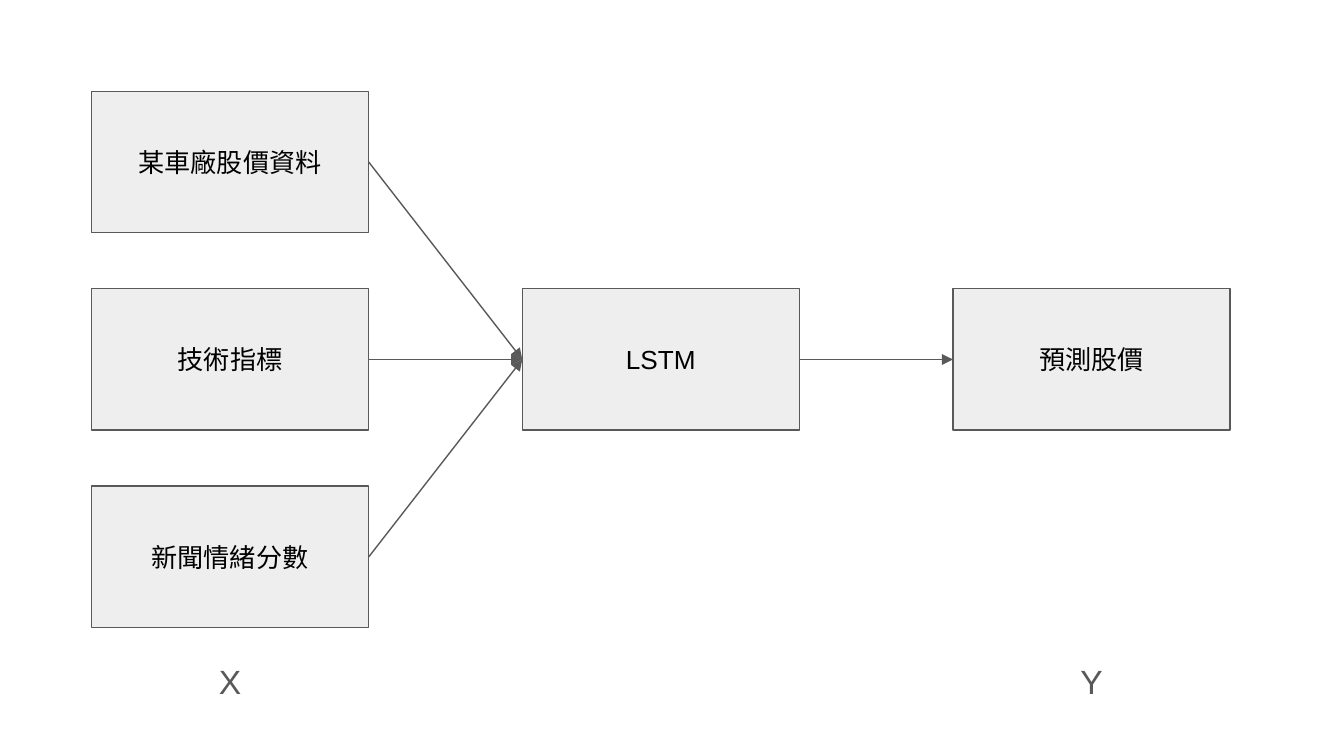
from pptx import Presentation
from pptx.dml.color import RGBColor
from pptx.enum.shapes import MSO_CONNECTOR, MSO_SHAPE
from pptx.enum.text import MSO_ANCHOR, PP_ALIGN
from pptx.oxml.ns import qn
from pptx.util import Cm, Pt
from lxml.etree import SubElement


def rgb(value):
    return RGBColor.from_string(value)


def write(sp, text, size, color, anchor):
    tf = sp.text_frame
    frame = {"word_wrap": True, "vertical_anchor": anchor}
    for side in ("left", "top", "right", "bottom"):
        frame[f"margin_{side}"] = Cm(0.25)
    for name, value in frame.items():
        setattr(tf, name, value)
    p = tf.paragraphs[0]
    p.alignment = PP_ALIGN.CENTER
    r = p.add_run()
    r.text = text
    for name, value in {"name": "Arial", "size": Pt(size)}.items():
        setattr(r.font, name, value)
    r.font.color.rgb = rgb(color)


prs = Presentation()
prs.slide_width, prs.slide_height = Cm(25.4), Cm(14.29)
s = prs.slides.add_slide(prs.slide_layouts[6])

GRAY = "595959"
START, BOX_W, BOX_H = 1.73, 5.24, 2.67
COL_STEP, ROW_STEP = 8.14, 3.73
LABEL_W = 2.24

boxes = {}
for text, col, row in [
    ("某車廠股價資料", 0, 0),
    ("技術指標", 0, 1),
    ("新聞情緒分數", 0, 2),
    ("LSTM", 1, 1),
    ("預測股價", 2, 1),
]:
    x, y = START + col * COL_STEP, START + row * ROW_STEP
    sp = s.shapes.add_shape(MSO_SHAPE.RECTANGLE, Cm(x), Cm(y), Cm(BOX_W), Cm(BOX_H))
    sp.shadow.inherit = False
    sp.fill.solid()
    sp.fill.fore_color.rgb = rgb("EEEEEE")
    sp.line.color.rgb = rgb(GRAY)
    sp.line.width = Pt(0.75)
    write(sp, text, 14, "000000", MSO_ANCHOR.MIDDLE)
    boxes[col, row] = sp

for text, col in [("X", 0), ("Y", 2)]:
    x = START + col * COL_STEP + (BOX_W - LABEL_W) / 2
    sp = s.shapes.add_textbox(Cm(x), Cm(12.24), Cm(LABEL_W), Cm(1.42))
    write(sp, text, 18, GRAY, MSO_ANCHOR.TOP)

for start, end in [
    ((0, 1), (1, 1)),
    ((1, 1), (2, 1)),
    ((0, 0), (1, 1)),
    ((0, 2), (1, 1)),
]:
    line = s.shapes.add_connector(MSO_CONNECTOR.STRAIGHT, 0, 0, 0, 0)
    line.begin_connect(boxes[start], 3)
    line.end_connect(boxes[end], 1)
    line.line.color.rgb = rgb(GRAY)
    line.line.width = Pt(0.75)
    SubElement(line.line._get_or_add_ln(), qn("a:tailEnd"), type="triangle")
    SubElement(line._element.spPr, qn("a:effectLst"))

prs.save("out.pptx")
